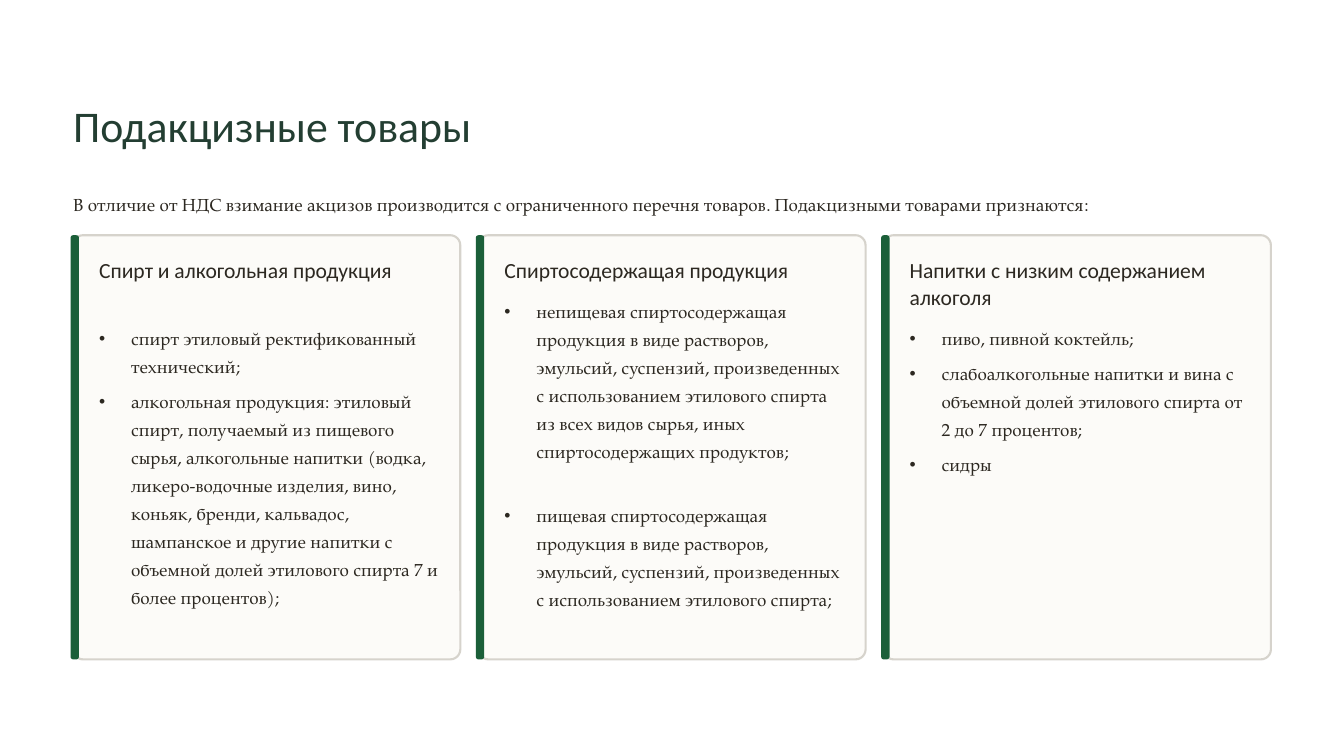
"""Build the slide listing excisable goods in three cards."""
from dataclasses import dataclass

from lxml import etree
from pptx import Presentation
from pptx.dml.color import RGBColor
from pptx.enum.shapes import MSO_SHAPE
from pptx.enum.text import MSO_ANCHOR, MSO_AUTO_SIZE, PP_ALIGN
from pptx.oxml.ns import qn
from pptx.util import Inches, Pt

ROUNDED = MSO_SHAPE.ROUNDED_RECTANGLE
TOP = MSO_ANCHOR.TOP
LEFT = PP_ALIGN.LEFT
FIXED = MSO_AUTO_SIZE.NONE
COMPARISON_LAYOUT = 4


@dataclass(frozen=True)
class Theme:
    title_color: str = "233E32"
    text_color: str = "2C2821"
    card_fill: str = "FCFBF8"
    card_line: str = "D6D3CC"
    accent: str = "1B5F39"
    heading_font: str = "Calibri"
    body_font: str = "TeX Gyre Pagella"
    title_size: float = 37.5
    heading_size: float = 18.5
    body_size: float = 15
    title_leading: float = 47
    heading_leading: float = 23.5
    body_leading: float = 24


MARGIN, CONTENT_WIDTH = 0.87, 14.26
CARD_TOP, CARD_WIDTH, CARD_HEIGHT = 2.8, 4.61, 5.05
CARD_PITCH = (CONTENT_WIDTH - CARD_WIDTH) / 2
BAR_WIDTH, BAR_OFFSET = 0.1, -0.03
TEXT_OFFSET, TEXT_WIDTH = 0.31, 4.07
HEADING_TOP, HEADING_HEIGHT = 3.04, 0.66
LIST_BOTTOM = 7.62
BULLET_INDENT = 0.38

CARDS = [
    ("Спирт и алкогольная продукция", 3.82, 6, [
        "спирт этиловый ректификованный технический;",
        "алкогольная продукция: этиловый спирт, получаемый из пищевого сырья, "
        "алкогольные напитки (водка, ликеро-водочные изделия, вино, коньяк, "
        "бренди, кальвадос, шампанское и другие напитки с объемной долей "
        "этилового спирта 7 и более процентов);",
    ]),
    ("Спиртосодержащая продукция", 3.5, 31, [
        "непищевая спиртосодержащая продукция в виде растворов, эмульсий, "
        "суспензий, произведенных с использованием этилового спирта из всех "
        "видов сырья, иных спиртосодержащих продуктов;",
        "пищевая спиртосодержащая продукция в виде растворов, эмульсий, "
        "суспензий, произведенных с использованием этилового спирта;",
    ]),
    ("Напитки с низким содержанием алкоголя", 3.82, 6, [
        "пиво, пивной коктейль;",
        "слабоалкогольные напитки и вина с объемной долей этилового спирта "
        "от 2 до 7 процентов;",
        "сидры",
    ]),
]


def write_para(para, text, *, font, size, color, leading, before=0, bullet=False):
    properties = para._p.get_or_add_pPr()
    indent = Inches(BULLET_INDENT) if bullet else 0
    properties.set("marL", str(indent))
    properties.set("indent", str(-indent))
    if bullet:
        etree.SubElement(properties, qn("a:buChar")).set("char", "•")
    else:
        etree.SubElement(properties, qn("a:buNone"))
    para.alignment = LEFT
    para.line_spacing = Pt(leading)
    para.space_before = Pt(before)
    para.space_after = Pt(0)
    span = para.add_run()
    span.text = text
    span.font.name = font
    span.font.size = Pt(size)
    span.font.bold = False
    span.font.color.rgb = RGBColor.from_string(color)


class SlideBuilder:
    def __init__(self, page, theme):
        self.page = page
        self.theme = theme

    def block(self, left, top, width, height, fill, radius, line=None):
        shape = self.page.shapes.add_shape(
            ROUNDED, Inches(left), Inches(top), Inches(width), Inches(height))
        shape.adjustments[0] = radius
        shape.shadow.inherit = False
        shape.fill.solid()
        shape.fill.fore_color.rgb = RGBColor.from_string(fill)
        if line:
            shape.line.color.rgb = RGBColor.from_string(line)
            shape.line.width = Pt(1.8)
        else:
            shape.line.fill.background()

    def fill_box(self, box, left, top, width, height, texts, gap=0, **style):
        box.left, box.top = Inches(left), Inches(top)
        box.width, box.height = Inches(width), Inches(height)
        frame = box.text_frame
        frame.margin_left = frame.margin_right = 0
        frame.margin_top = frame.margin_bottom = 0
        frame.vertical_anchor = TOP
        frame.auto_size = FIXED
        frame.word_wrap = True
        for index, text in enumerate(texts):
            para = frame.add_paragraph() if index else frame.paragraphs[0]
            write_para(para, text, before=gap if index else 0, **style)

    def title(self, text):
        theme = self.theme
        self.fill_box(self.page.shapes.title, MARGIN, 1.15, 5.31, 0.66, [text],
                      font=theme.heading_font, size=theme.title_size,
                      color=theme.title_color, leading=theme.title_leading)

    def body(self, box, left, top, width, height, texts, **options):
        theme = self.theme
        self.page.shapes.element.append(box.element)
        self.fill_box(box, left, top, width, height, texts,
                      font=theme.body_font, size=theme.body_size,
                      color=theme.text_color, leading=theme.body_leading, **options)

    def heading(self, text, left):
        theme = self.theme
        box = self.page.shapes.add_textbox(0, 0, 0, 0)
        self.fill_box(box, left, HEADING_TOP, TEXT_WIDTH, HEADING_HEIGHT, [text],
                      font=theme.heading_font, size=theme.heading_size,
                      color=theme.text_color, leading=theme.heading_leading)

    def card(self, left, box, heading, list_top, gap, items):
        theme = self.theme
        self.block(left, CARD_TOP, CARD_WIDTH, CARD_HEIGHT,
                   theme.card_fill, 0.026, theme.card_line)
        self.block(left + BAR_OFFSET, CARD_TOP, BAR_WIDTH, CARD_HEIGHT,
                   theme.accent, 0.316)
        text_left = left + TEXT_OFFSET
        self.heading(heading, text_left)
        self.body(box, text_left, list_top, TEXT_WIDTH, LIST_BOTTOM - list_top,
                  items, gap=gap, bullet=True)


def main():
    deck = Presentation()
    deck.slide_width, deck.slide_height = Inches(16), Inches(9)
    page = deck.slides.add_slide(deck.slide_layouts[COMPARISON_LAYOUT])
    builder = SlideBuilder(page, Theme())
    intro, *lists = list(page.placeholders)[1:]
    builder.title("Подакцизные товары")
    builder.body(intro, MARGIN, 2.23, CONTENT_WIDTH, 0.34, [
        "В отличие от НДС взимание акцизов производится с ограниченного "
        "перечня товаров. Подакцизными товарами признаются:"])
    for index, (box, card) in enumerate(zip(lists, CARDS)):
        builder.card(MARGIN + index * CARD_PITCH, box, *card)
    deck.save("out.pptx")


if __name__ == "__main__":
    main()
